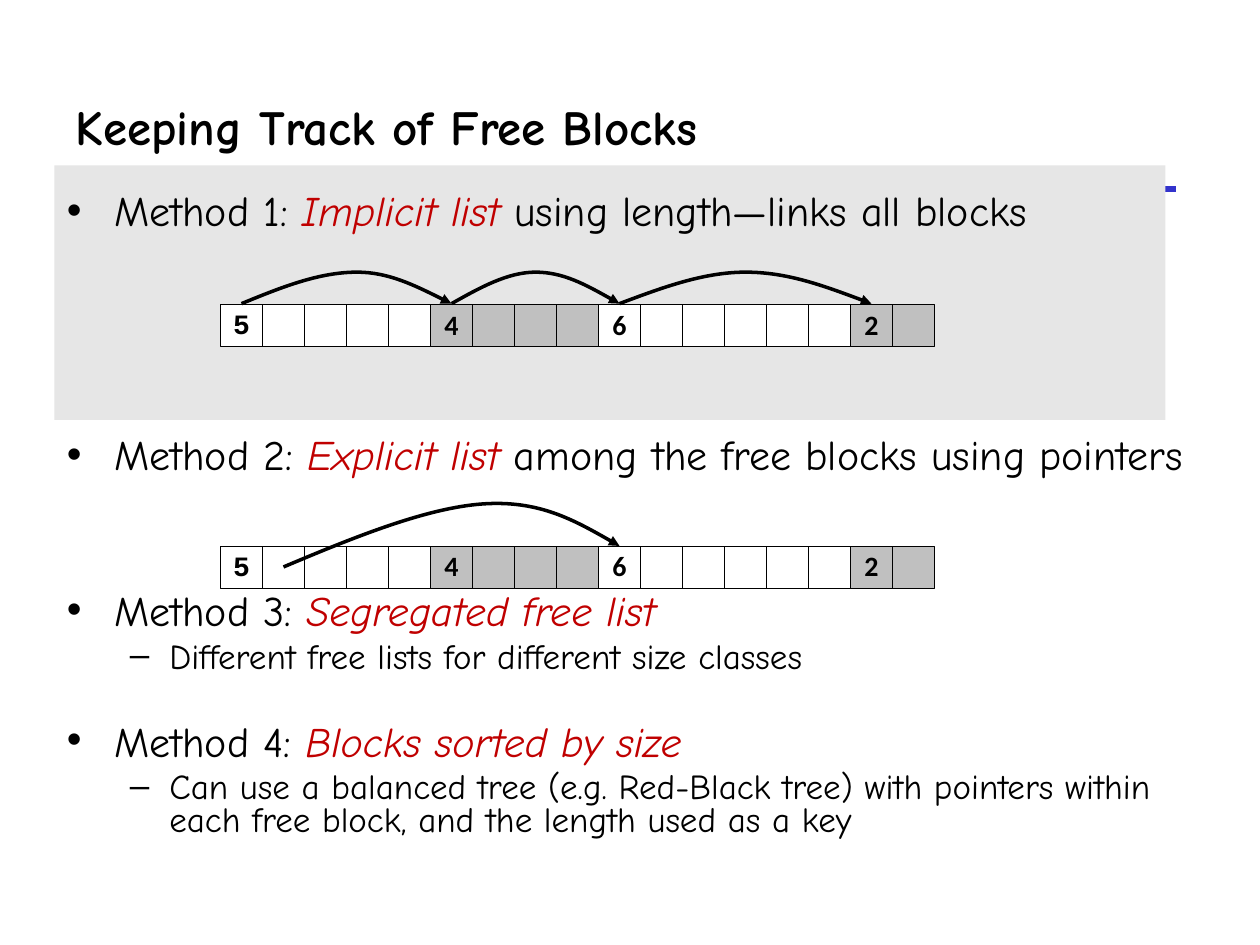
from dataclasses import dataclass

from lxml.etree import SubElement
from pptx import Presentation
from pptx.dml.color import RGBColor
from pptx.enum.shapes import MSO_CONNECTOR, MSO_SHAPE
from pptx.enum.text import MSO_ANCHOR, MSO_AUTO_SIZE, PP_ALIGN
from pptx.oxml.ns import qn
from pptx.util import Pt

BLACK = RGBColor(0x00, 0x00, 0x00)
WHITE = RGBColor(0xFF, 0xFF, 0xFF)
RED = RGBColor(0xC0, 0x00, 0x00)
BLUE = RGBColor(0x33, 0x33, 0xCC)
PANEL_GRAY = RGBColor(0xE6, 0xE6, 0xE6)
ALLOCATED_GRAY = RGBColor(0xC0, 0xC0, 0xC0)

TEXT_FONT = "Comic Neue"
WORD = 24  # side of one memory word
HEAP_LEFT = 126
IMPLICIT_TOP, EXPLICIT_TOP = 174, 312

Point = tuple[float, float]


@dataclass(frozen=True)
class Block:
    words: int
    fill: RGBColor
    font: str = "Calibri"
    line_spacing: float = 0.98


@dataclass(frozen=True)
class Level:
    bullet: str
    margin: float
    hanging: float
    size: float


@dataclass(frozen=True)
class Item:
    level: int
    before: float
    line_spacing: float
    text: str
    emphasis: str = ""
    rest: str = ""


HEAP = [
    Block(5, WHITE, "Courier New", 0.94),
    Block(4, ALLOCATED_GRAY),
    Block(6, WHITE),
    Block(2, ALLOCATED_GRAY),
]
LEVELS = [Level("•", 27, 27, 24), Level("–", 58.5, 22.5, 20)]
# Large spacing leaves room for the heap diagrams
ITEMS = [
    Item(0, 0, 1, "Method 1: ", "Implicit list ", "using length—links all blocks"),
    Item(0, 110.4, 1, "Method 2: ", "Explicit list ",
         "among the free blocks using pointers"),
    Item(0, 67.8, 0.73, "Method 3: ", "Segregated free list"),
    Item(1, 5, 0.78, "Different free lists for different size classes"),
    Item(0, 29.7, 0.73, "Method 4: ", "Blocks sorted by size"),
    Item(1, 5, 0.78, "Can use a balanced tree (e.g. Red-Black tree) with pointers "
                     "within each free block, and the length used as a key"),
]


def place(shape, left: float, top: float, width: float, height: float) -> None:
    shape.left, shape.top = Pt(left), Pt(top)
    shape.width, shape.height = Pt(width), Pt(height)


def style_run(run, size: float, color: RGBColor = BLACK, font: str = TEXT_FONT,
              bold: bool = False, italic: bool = False) -> None:
    run.font.name, run.font.size = font, Pt(size)
    run.font.bold, run.font.italic = bold, italic
    run.font.color.rgb = color


def add_item(paragraph, item: Item) -> None:
    level = LEVELS[item.level]
    paragraph.level = item.level
    properties = paragraph._p.get_or_add_pPr()
    properties.set("marL", str(Pt(level.margin)))
    properties.set("indent", str(-Pt(level.hanging)))
    bullet_color = SubElement(properties, qn("a:buClr"))
    SubElement(bullet_color, qn("a:srgbClr"), val=str(BLACK))
    SubElement(properties, qn("a:buChar"), char=level.bullet)
    paragraph.space_before = Pt(item.before)
    paragraph.line_spacing = item.line_spacing
    for part in (item.text, item.emphasis, item.rest):
        if part:
            run = paragraph.add_run()
            run.text = part
            emphasized = part == item.emphasis
            style_run(run, level.size, RED if emphasized else BLACK,
                      italic=emphasized)


def draw_word(shapes, left: float, top: float, block: Block, label: str) -> None:
    word = shapes.add_shape(MSO_SHAPE.RECTANGLE, Pt(left), Pt(top), Pt(WORD), Pt(WORD))
    word.shadow.inherit = False
    word.fill.solid()
    word.fill.fore_color.rgb = block.fill
    word.line.color.rgb = BLACK
    word.line.width = Pt(0.25)
    if label:
        frame = word.text_frame
        frame.text = label
        frame.word_wrap = False
        frame.vertical_anchor = MSO_ANCHOR.MIDDLE
        paragraph = frame.paragraphs[0]
        paragraph.alignment = PP_ALIGN.CENTER
        paragraph.line_spacing = block.line_spacing
        style_run(paragraph.runs[0], 16, font=block.font, bold=True)


def draw_heap(shapes, top: float) -> list[float]:
    """Draw every block and return the centre x of each header word."""
    left, headers = HEAP_LEFT, []
    for block in HEAP:
        headers.append(left + WORD / 2)
        for index in range(block.words):
            draw_word(shapes, left, top, block, "" if index else str(block.words))
            left += WORD
    return headers


def hop(start: float, end: float, base: float, apex: float) -> list[Point]:
    """Bezier points of an arc whose top lies at the fraction apex."""
    fractions = (0, apex / 3, apex * 2 / 3, apex,
                 apex + (1 - apex) / 3, apex + (1 - apex) * 2 / 3, 1)
    rises = (0, 9, 18, 18, 18, 9, 0)
    return [(start + (end - start) * fraction, base - rise)
            for fraction, rise in zip(fractions, rises)]


def draw_curved_arrow(shapes, points: list[Point]) -> None:
    start, *others = [(Pt(x), Pt(y)) for x, y in points]
    builder = shapes.build_freeform(*start)
    builder.add_line_segments(others, close=False)
    arrow = builder.convert_to_shape()
    arrow.shadow.inherit = False
    arrow.fill.background()
    arrow.line.color.rgb = BLACK
    arrow.line.width = Pt(2)
    SubElement(arrow.line._get_or_add_ln(), qn("a:tailEnd"), type="triangle")
    # Turn each three segments into one Bezier curve
    outline = arrow._element.find(".//" + qn("a:path"))
    segments = outline.findall(qn("a:lnTo"))
    for first in range(0, len(segments), 3):
        curve = SubElement(outline, qn("a:cubicBezTo"))
        for segment in segments[first:first + 3]:
            curve.append(segment[0])
            outline.remove(segment)


def main() -> None:
    presentation = Presentation()
    presentation.slide_width, presentation.slide_height = Pt(720), Pt(540)
    slide = presentation.slides.add_slide(presentation.slide_layouts[1])
    shapes = slide.shapes
    title, methods = slide.placeholders

    # Rule and panel behind the text
    rule = shapes.add_connector(MSO_CONNECTOR.STRAIGHT, Pt(36), Pt(108), Pt(672), Pt(108))
    rule.line.color.rgb = BLUE
    rule.line.width = Pt(3)
    SubElement(rule._element.spPr, qn("a:effectLst"))
    panel = shapes.add_shape(MSO_SHAPE.RECTANGLE, Pt(31), Pt(94.5), Pt(635), Pt(145.5))
    panel.shadow.inherit = False
    panel.fill.solid()
    panel.fill.fore_color.rgb = PANEL_GRAY
    panel.line.fill.background()
    for placeholder in (title, methods):
        shapes._spTree.append(placeholder._element)

    # Title
    place(title, 36, 36, 636, 72)
    title.text_frame.text = "Keeping Track of Free Blocks"
    title.text_frame.vertical_anchor = MSO_ANCHOR.MIDDLE
    title.text_frame.paragraphs[0].alignment = PP_ALIGN.LEFT
    style_run(title.text_frame.paragraphs[0].runs[0], 28, bold=True)

    # Methods
    place(methods, 31, 102, 653, 423)
    frame = methods.text_frame
    frame.auto_size = MSO_AUTO_SIZE.NONE
    frame.margin_right = 0
    for index, item in enumerate(ITEMS):
        add_item(frame.add_paragraph() if index else frame.paragraphs[0], item)

    # Implicit list: each header leads to the next block
    headers = draw_heap(shapes, IMPLICIT_TOP)
    for start, end, apex in zip(headers, headers[1:], (0.55, 0.5, 0.5)):
        draw_curved_arrow(shapes, hop(start, end, IMPLICIT_TOP - 0.5, apex))

    # Explicit list: a pointer inside one free block leads to the next
    headers = draw_heap(shapes, EXPLICIT_TOP)
    draw_curved_arrow(shapes, [
        (headers[0] + WORD, EXPLICIT_TOP + WORD / 2), (203, 306.7), (244, 290.2),
        (276, 288), (308, 285.8), (331, 298.8), (headers[2], EXPLICIT_TOP)])

    presentation.save("out.pptx")


if __name__ == "__main__":
    main()
